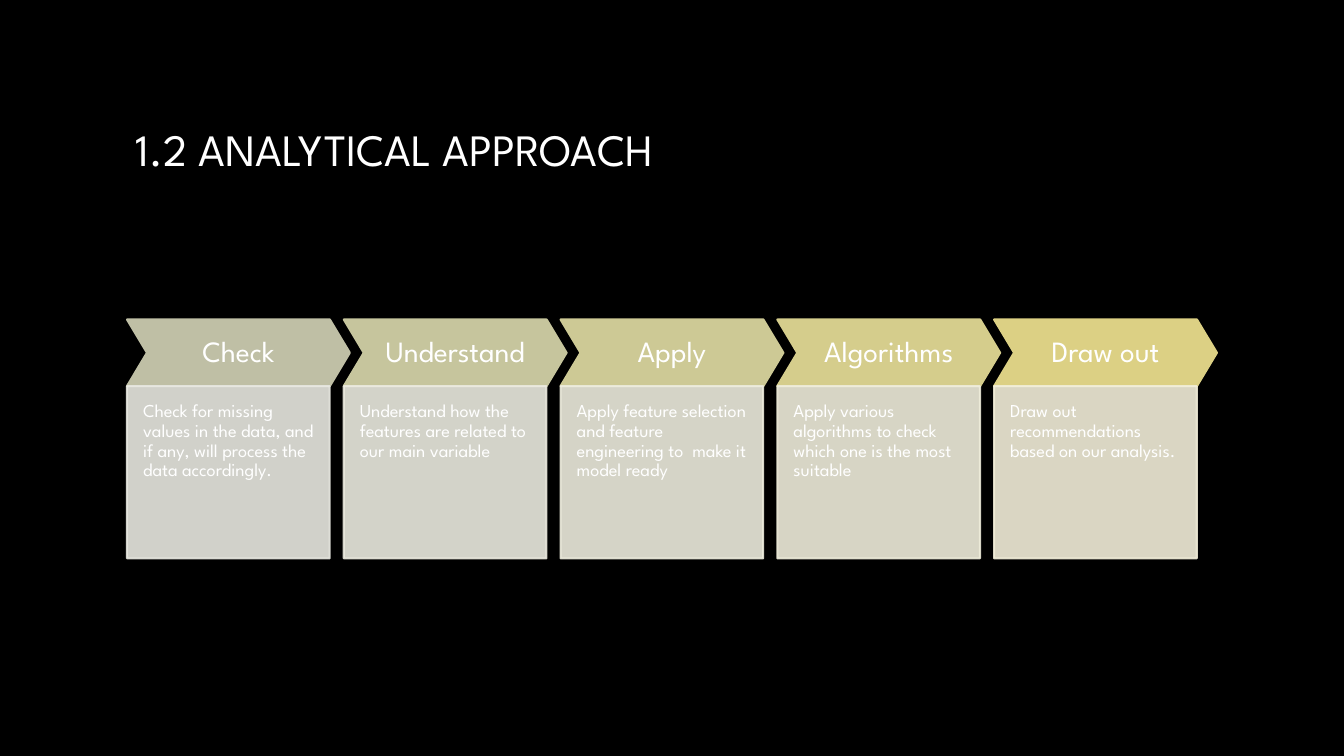
from lxml import etree
from pptx import Presentation
from pptx.dml.color import RGBColor
from pptx.enum.shapes import MSO_SHAPE
from pptx.enum.text import MSO_ANCHOR, PP_ALIGN
from pptx.oxml.ns import qn
from pptx.util import Inches, Pt

CHEVRON, RECT = MSO_SHAPE.CHEVRON, MSO_SHAPE.RECTANGLE
TOP, MIDDLE = MSO_ANCHOR.TOP, MSO_ANCHOR.MIDDLE
LEFT, CENTER = PP_ALIGN.LEFT, PP_ALIGN.CENTER

FONT = "League Spartan"
BLACK = RGBColor(0x00, 0x00, 0x00)
WHITE = RGBColor(0xFF, 0xFF, 0xFF)

# Heading, detail, arrow colour, card colour
STEPS = [
    ("Check",
     "Check for missing values in the data, and if any, will process the data accordingly.",
     RGBColor(0xBF, 0xBF, 0xA5), RGBColor(0xE8, 0xE8, 0xE1)),
    ("Understand",
     "Understand how the features are related to our main variable",
     RGBColor(0xC6, 0xC5, 0x9D), RGBColor(0xEB, 0xEA, 0xDF)),
    ("Apply",
     "Apply feature selection and feature engineering to  make it model ready",
     RGBColor(0xCD, 0xC9, 0x95), RGBColor(0xED, 0xEC, 0xDD)),
    ("Algorithms",
     "Apply various algorithms to check which one is the most suitable",
     RGBColor(0xD5, 0xCD, 0x8C), RGBColor(0xEF, 0xED, 0xDB)),
    ("Draw out",
     "Draw out recommendations based on our analysis.",
     RGBColor(0xDC, 0xD0, 0x84), RGBColor(0xF2, 0xEE, 0xD9)),
]
START, PITCH = 1.26, 2.15
ARROW_TOP, ARROW_W, ARROW_H = 3.17, 2.21, 0.66
CARD_TOP, CARD_W, CARD_H = ARROW_TOP + ARROW_H, 2.01, 1.71


def set_text(shape, text, size, align, anchor, pads, spacing=0.9):
    """Write one white paragraph; pads are left, top, right, bottom inches."""
    frame = shape.text_frame
    frame.word_wrap = True
    frame.vertical_anchor = anchor
    (frame.margin_left, frame.margin_top,
     frame.margin_right, frame.margin_bottom) = map(Inches, pads)
    para = frame.paragraphs[0]
    para.text = text
    para.alignment = align
    para.line_spacing = spacing
    para.font.name = FONT
    para.font.size = Pt(size)
    para.font.color.rgb = WHITE


def add_block(slide, kind, box, color):
    shape = slide.shapes.add_shape(kind, *map(Inches, box))
    shape.shadow.inherit = False
    shape.fill.solid()
    shape.fill.fore_color.rgb = color
    shape.line.color.rgb = color
    shape.line.width = Pt(1.5)
    return shape


def set_alpha(shape, percent):
    """Make fill and line partly transparent."""
    for color in shape.element.spPr.iter(qn("a:srgbClr")):
        etree.SubElement(color, qn("a:alpha")).set("val", str(percent * 1000))


def add_title(slide, text):
    box = slide.shapes.add_textbox(
        Inches(1.25), Inches(0.67), Inches(10.83), Inches(1.61))
    set_text(box, text, 32, LEFT, MIDDLE, (0.1, 0.05, 0.1, 0.05), 1.0)


def add_step(slide, left, head, detail, dark, light):
    arrow = add_block(slide, CHEVRON, (left, ARROW_TOP, ARROW_W, ARROW_H), dark)
    arrow.adjustments[0] = 0.3
    set_text(arrow, head, 21, CENTER, MIDDLE, (0.08, 0.08, 0.08, 0.08))
    card = add_block(slide, RECT, (left, CARD_TOP, CARD_W, CARD_H), light)
    set_alpha(card, 90)
    set_text(card, detail, 13, LEFT, TOP, (0.16, 0.16, 0.16, 0.32))


def main():
    deck = Presentation()
    deck.slide_width, deck.slide_height = Inches(13.33), Inches(7.5)
    slide = deck.slides.add_slide(deck.slide_layouts[6])
    slide.background.fill.solid()
    slide.background.fill.fore_color.rgb = BLACK
    add_title(slide, "1.2 ANALYTICAL APPROACH")
    for index, step in enumerate(STEPS):
        add_step(slide, START + index * PITCH, *step)
    deck.save("out.pptx")


if __name__ == "__main__":
    main()
